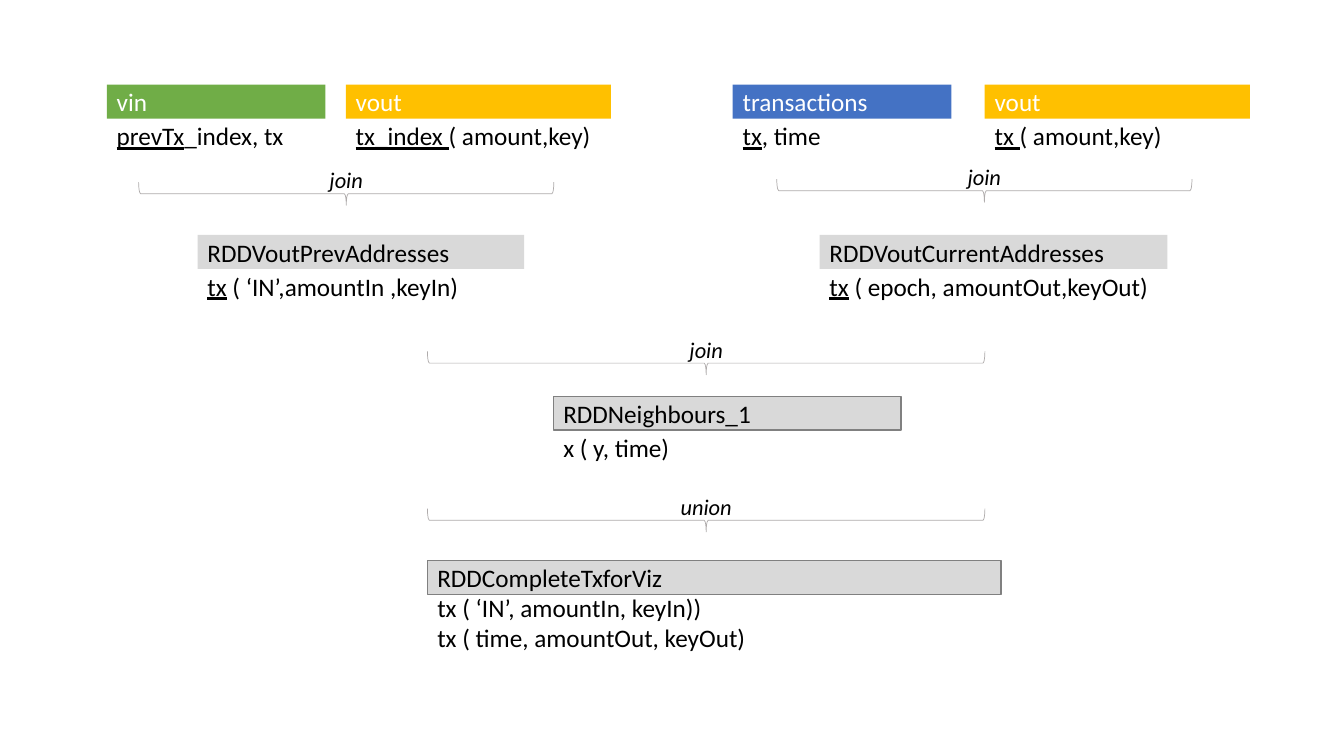
from dataclasses import dataclass

from pptx import Presentation
from pptx.dml.color import RGBColor as RGB
from pptx.enum.shapes import MSO_SHAPE as SHAPE
from pptx.enum.text import MSO_ANCHOR as ANCHOR, PP_ALIGN as ALIGN
from pptx.util import Pt


@dataclass(frozen=True)
class Theme:
    font: str = "Calibri"
    body: int = 18
    label: int = 16
    white: RGB = RGB(255, 255, 255)
    black: RGB = RGB(0, 0, 0)
    green: RGB = RGB.from_string("70AD47")
    gold: RGB = RGB.from_string("FFC000")
    blue: RGB = RGB.from_string("4472C4")
    grey: RGB = RGB.from_string("D9D9D9")
    border: RGB = RGB.from_string("808080")
    brace: RGB = RGB.from_string("AFABAB")


class Diagram:
    ROW = 24.3          # height of a header or a one-line field list
    DEPTH = 16.6        # depth of a brace
    LABEL_HEIGHT = 19.4
    LABEL_RISE = 11.3   # from label top to brace top

    def __init__(self, slide, theme):
        self.slide, self.theme = slide, theme

    def add_text(self, sp, lines, size, color, align=ALIGN.LEFT, italic=False):
        """Each line is a list of (text, underlined) runs."""
        tf = sp.text_frame
        tf.word_wrap = True
        tf.vertical_anchor = ANCHOR.MIDDLE
        tf.margin_top = tf.margin_bottom = 0
        for i, runs in enumerate(lines):
            p = tf.paragraphs[0] if i == 0 else tf.add_paragraph()
            p.alignment = align
            for text, underlined in runs:
                r = p.add_run()
                r.text = text
                r.font.name, r.font.size = self.theme.font, Pt(size)
                r.font.color.rgb = color
                r.font.italic, r.font.underline = italic, underlined

    def dataset(self, name, x, y, width, fill, fields, bordered=False, height=ROW):
        """A header bar with its field list below."""
        t = self.theme
        shapes = self.slide.shapes.add_group_shape().shapes
        sp = shapes.add_shape(SHAPE.RECTANGLE, Pt(x), Pt(y), Pt(width), Pt(self.ROW))
        sp.shadow.inherit = False
        sp.fill.solid()
        sp.fill.fore_color.rgb = fill
        if bordered:
            sp.line.color.rgb, sp.line.width = t.border, Pt(1)
        else:
            sp.line.fill.background()
        self.add_text(sp, [[(name, False)]], t.body,
                      t.black if fill == t.grey else t.white)
        box = shapes.add_textbox(Pt(x), Pt(y + self.ROW), Pt(width), Pt(height))
        self.add_text(box, fields, t.body, t.black)

    def operation(self, name, center, y, span, width):
        """A downward brace with the operation's name above it."""
        t = self.theme
        shapes = self.slide.shapes.add_group_shape().shapes
        middle = y + self.LABEL_RISE + self.DEPTH / 2
        sp = shapes.add_shape(SHAPE.RIGHT_BRACE, Pt(center - self.DEPTH / 2),
                              Pt(middle - span / 2), Pt(self.DEPTH), Pt(span))
        sp.rotation = 90
        sp.shadow.inherit = False
        sp.fill.background()
        sp.line.color.rgb, sp.line.width = t.brace, Pt(0.5)
        box = shapes.add_textbox(Pt(center - width / 2), Pt(y), Pt(width),
                                 Pt(self.LABEL_HEIGHT))
        self.add_text(box, [[(name, False)]], t.label, t.black, ALIGN.CENTER, True)


prs = Presentation()
prs.slide_width, prs.slide_height = Pt(960), Pt(540)
theme = Theme()
diagram = Diagram(prs.slides.add_slide(prs.slide_layouts[6]), theme)

# Source tables
SOURCE_Y = 60.5
for name, x, width, fill, key, rest in (
    ("vin", 76.3, 156.2, theme.green, "prevTx", "_index, tx"),
    ("vout", 247, 189.4, theme.gold, "tx_index ", "( amount,key)"),
    ("transactions", 523.4, 156.2, theme.blue, "tx", ", time"),
    ("vout", 703.4, 189.4, theme.gold, "tx ", "( amount,key)"),
):
    diagram.dataset(name, x, SOURCE_Y, width, fill, [[(key, True), (rest, False)]])

# Joined addresses
ADDRESS_Y = 167.8
for name, x, width, rest in (
    ("RDDVoutPrevAddresses", 141.1, 233.3, " ( ‘IN’,amountIn ,keyIn)"),
    ("RDDVoutCurrentAddresses", 585.4, 248.4, " ( epoch, amountOut,keyOut)"),
):
    diagram.dataset(name, x, ADDRESS_Y, width, theme.grey,
                    [[("tx", True), (rest, False)]])

# Results
diagram.dataset("RDDNeighbours_1", 395.3, 283, 248.4, theme.grey,
                [[("x ( y, time)", False)]], bordered=True)
diagram.dataset("RDDCompleteTxforViz", 305.3, 400.3, 409.7, theme.grey,
                [[("tx ( ‘IN’, amountIn, keyIn))", False)],
                 [("tx ( time, amountOut, keyOut)", False)]],
                bordered=True, height=39.6)

# Operations between the levels
for name, center, y, span, width in (
    ("join", 247.3, 118.8, 296.6, 233.3),
    ("join", 703.1, 116.6, 296.6, 233.3),
    ("join", 504.4, 239.8, 398.2, 313.2),
    ("union", 504.4, 352.1, 398.2, 313.2),
):
    diagram.operation(name, center, y, span, width)

prs.save("out.pptx")
